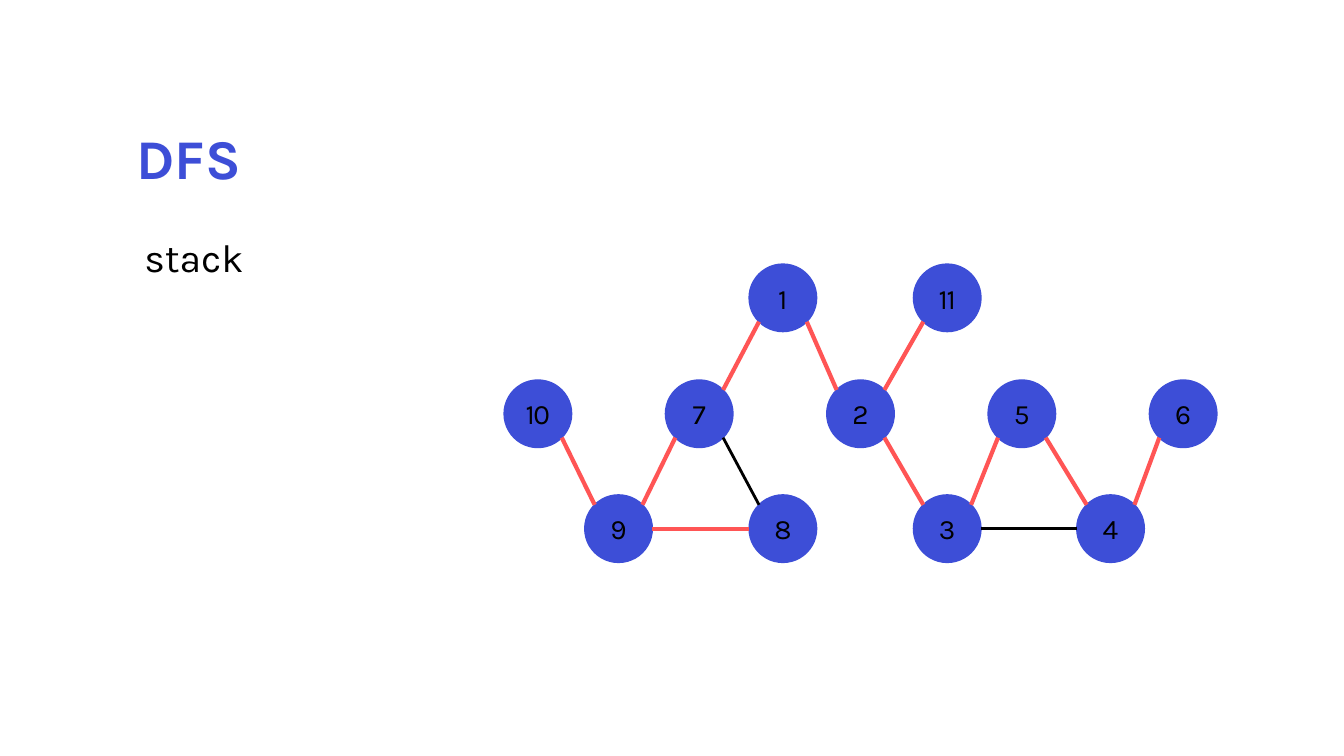
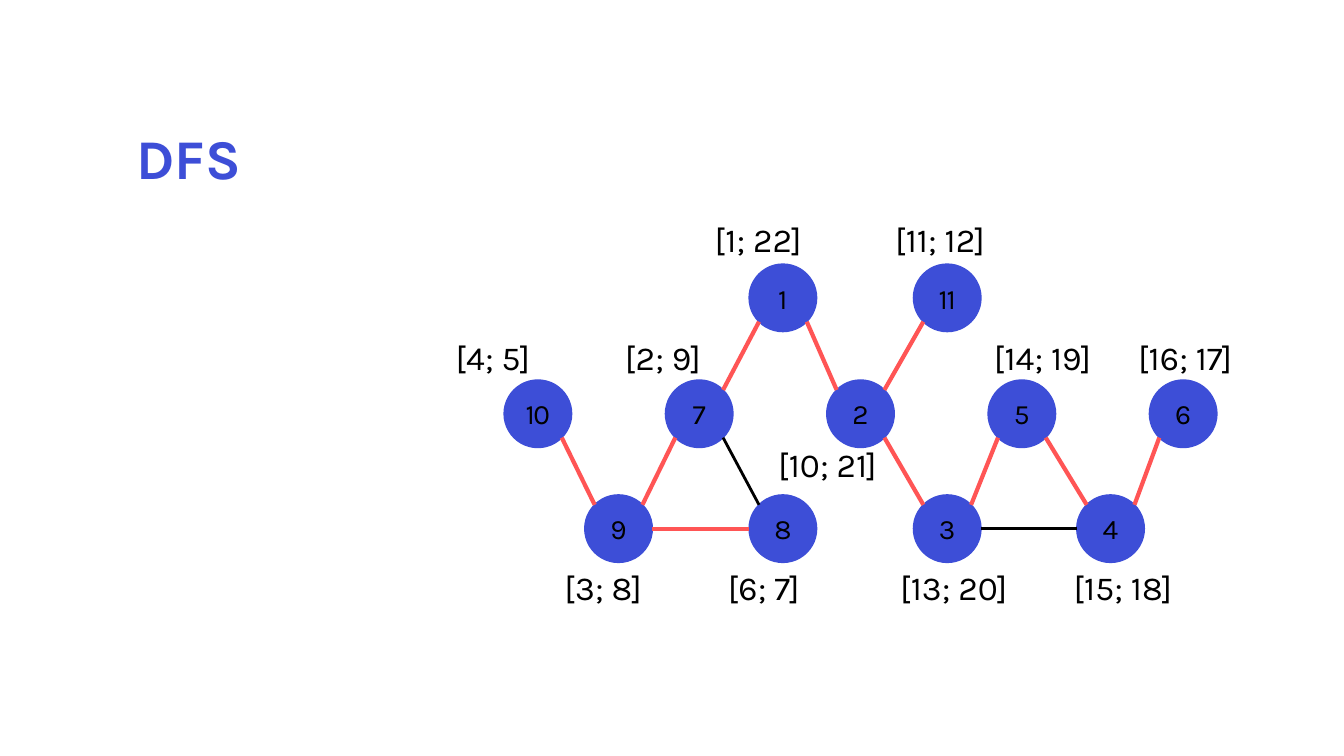
from dataclasses import dataclass
from math import sqrt

from lxml import etree
from pptx import Presentation
from pptx.dml.color import RGBColor
from pptx.enum.shapes import MSO_CONNECTOR, MSO_SHAPE
from pptx.enum.text import MSO_ANCHOR, MSO_AUTO_SIZE, PP_ALIGN
from pptx.oxml.ns import qn
from pptx.util import Emu, Pt

LEFT, CENTER = PP_ALIGN.LEFT, PP_ALIGN.CENTER
TOP, MIDDLE = MSO_ANCHOR.TOP, MSO_ANCHOR.MIDDLE
NO_FIT, GROW = MSO_AUTO_SIZE.NONE, MSO_AUTO_SIZE.SHAPE_TO_FIT_TEXT
STRAIGHT, OVAL = MSO_CONNECTOR.STRAIGHT, MSO_SHAPE.OVAL

PX = 9144  # 100 px to the inch
TITLE_ONLY = 5
NODE_SIZE = 67
ROW_TOPS = (262, 377, 491)

# node: (left, row)
NODES = {
    11: (906, 0), 1: (743, 0),
    10: (500, 1), 7: (660, 1), 2: (820, 1), 5: (980, 1), 6: (1140, 1),
    9: (580, 2), 8: (743, 2), 3: (906, 2), 4: (1068, 2),
}
TREE_EDGES = ((1, 2), (11, 2), (2, 3), (3, 5), (1, 7), (4, 6), (4, 5),
              (8, 9), (7, 9), (10, 9))
BACK_EDGES = ((8, 7), (3, 4))

ABOVE_TOP, ABOVE_MIDDLE, BELOW_MIDDLE, BELOW_BOTTOM = 212, 329, 435, 558
# visit times: (text, left, top, width)
TIMES = (
    ("[1; 22]", 699, ABOVE_TOP, 111),
    ("[3; 8]", 550, BELOW_BOTTOM, 111),
    ("[2; 9]", 610, ABOVE_MIDDLE, 111),
    ("[4; 5]", 442, ABOVE_MIDDLE, 111),
    ("[6; 7]", 712, BELOW_BOTTOM, 111),
    ("[10; 21]", 762, BELOW_MIDDLE, 134),
    ("[11; 12]", 878, ABOVE_TOP, 151),
    ("[13; 20]", 883, BELOW_BOTTOM, 130),
    ("[14; 19]", 976, ABOVE_MIDDLE, 130),
    ("[15; 18]", 1055, BELOW_BOTTOM, 130),
    ("[16; 17]", 1119, ABOVE_MIDDLE, 130),
)


@dataclass(frozen=True)
class Theme:
    font: str = "Karla"
    blue: RGBColor = RGBColor(0x3D, 0x4E, 0xD7)
    red: RGBColor = RGBColor(0xFF, 0x55, 0x55)
    black: RGBColor = RGBColor(0, 0, 0)
    title_size: int = 40
    note_size: int = 28
    time_size: int = 24
    node_size: int = 20


def px(*lengths):
    return [Emu(round(length * PX)) for length in lengths]


def sign(number):
    return (number > 0) - (number < 0)


def center(node):
    left, row = NODES[node]
    return left + NODE_SIZE / 2, ROW_TOPS[row] + NODE_SIZE / 2


def rim_point(node, toward):
    """Point on the node's rim: sideways within a row, diagonal between rows."""
    x, y = center(node)
    other_x, other_y = center(toward)
    step_x, step_y = sign(other_x - x), sign(other_y - y)
    reach = NODE_SIZE / 2 / sqrt(step_x ** 2 + step_y ** 2)
    return x + step_x * reach, y + step_y * reach


class GraphDeck:
    def __init__(self, theme):
        self.theme = theme
        self.deck = Presentation()
        self.deck.slide_width, self.deck.slide_height = px(1333, 750)
        self.slide = None

    def add_words(self, frame, text, size, color, align=LEFT, bold=False):
        para = frame.paragraphs[0]
        para.alignment = align
        span = para.add_run()
        span.text = text
        font = span.font
        font.name, font.size, font.bold = self.theme.font, Pt(size), bold
        font.color.rgb = color
        return para

    def new_slide(self, title):
        layout = self.deck.slide_layouts[TITLE_ONLY]
        self.slide = self.deck.slides.add_slide(layout)
        box = self.slide.shapes.title
        box.left, box.top, box.width, box.height = px(125, 125, 1085, 80)
        frame = box.text_frame
        frame.vertical_anchor, frame.auto_size = TOP, NO_FIT
        para = self.add_words(frame, title, self.theme.title_size,
                              self.theme.blue, bold=True)
        para.line_spacing = 0.9

    def text(self, text, left, top, width, height, size):
        box = self.slide.shapes.add_textbox(*px(left, top, width, height))
        frame = box.text_frame
        frame.word_wrap, frame.auto_size = True, GROW
        self.add_words(frame, text, size, self.theme.black)

    def node(self, number):
        left, row = NODES[number]
        circle = self.slide.shapes.add_shape(
            OVAL, *px(left, ROW_TOPS[row], NODE_SIZE, NODE_SIZE))
        circle.shadow.inherit = False
        circle.fill.solid()
        circle.fill.fore_color.rgb = self.theme.blue
        circle.line.color.rgb = self.theme.blue
        circle.line.width = Pt(1)
        frame = circle.text_frame
        frame.word_wrap, frame.vertical_anchor = False, MIDDLE
        para = self.add_words(frame, str(number), self.theme.node_size,
                              self.theme.black, CENTER)
        para.runs[0].font._element.set("spc", "-100")

    def edge(self, start, end, color, width):
        line = self.slide.shapes.add_connector(
            STRAIGHT, *px(*rim_point(start, end), *rim_point(end, start)))
        line.line.color.rgb = color
        line.line.width = Pt(width)
        etree.SubElement(line._element.spPr, qn("a:effectLst"))

    def graph(self):
        for number in NODES:
            self.node(number)
        for start, end in BACK_EDGES:
            self.edge(start, end, self.theme.black, 2)
        for start, end in TREE_EDGES:
            self.edge(start, end, self.theme.red, 3)


def main():
    theme = Theme()
    pages = GraphDeck(theme)

    pages.new_slide("DFS")
    pages.graph()
    pages.text(" stack", 124, 227, 159, 57, theme.note_size)

    pages.new_slide("DFS")
    pages.graph()
    for text, left, top, width in TIMES:
        pages.text(text, left, top, width, 50, theme.time_size)

    pages.deck.save("out.pptx")


if __name__ == "__main__":
    main()
